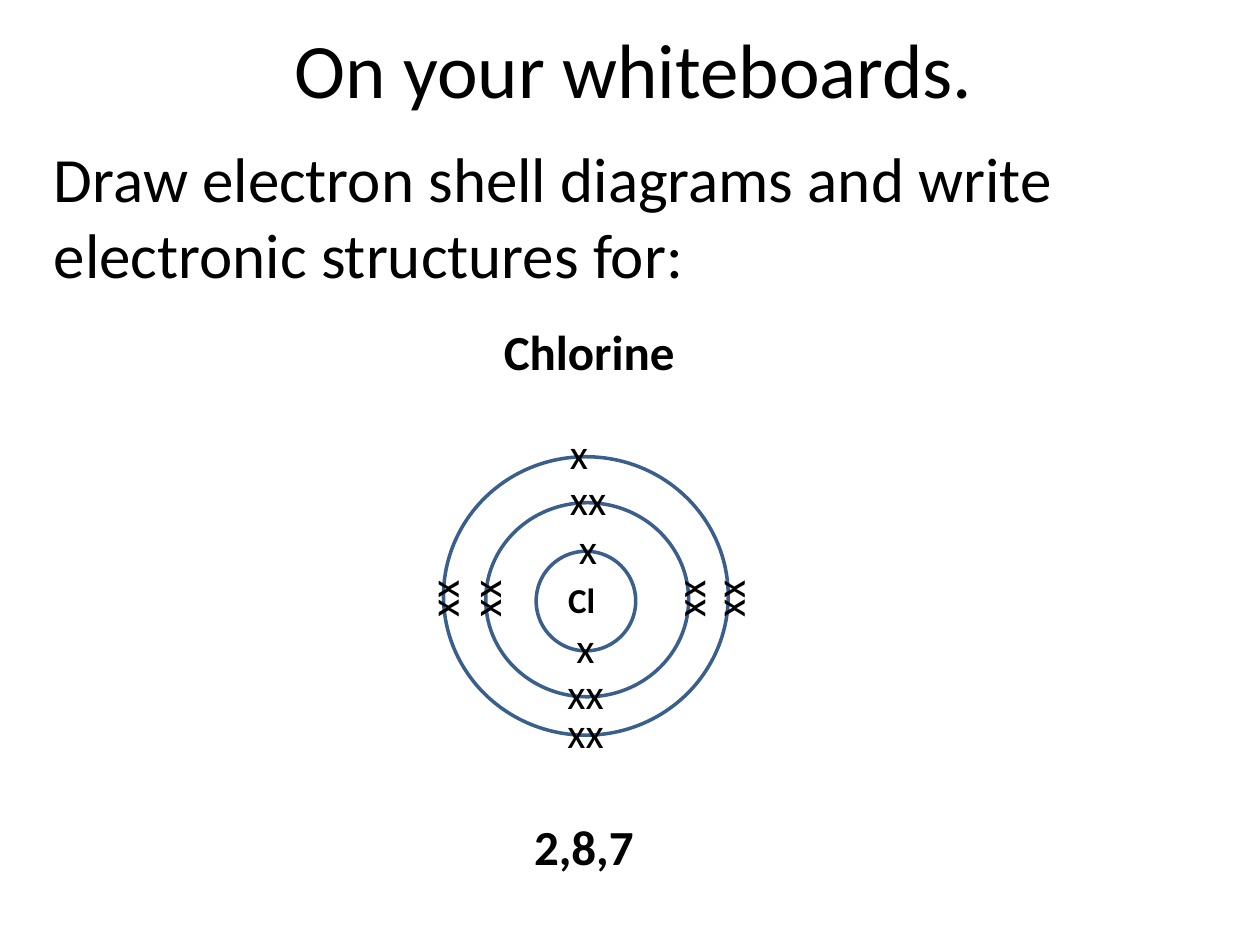
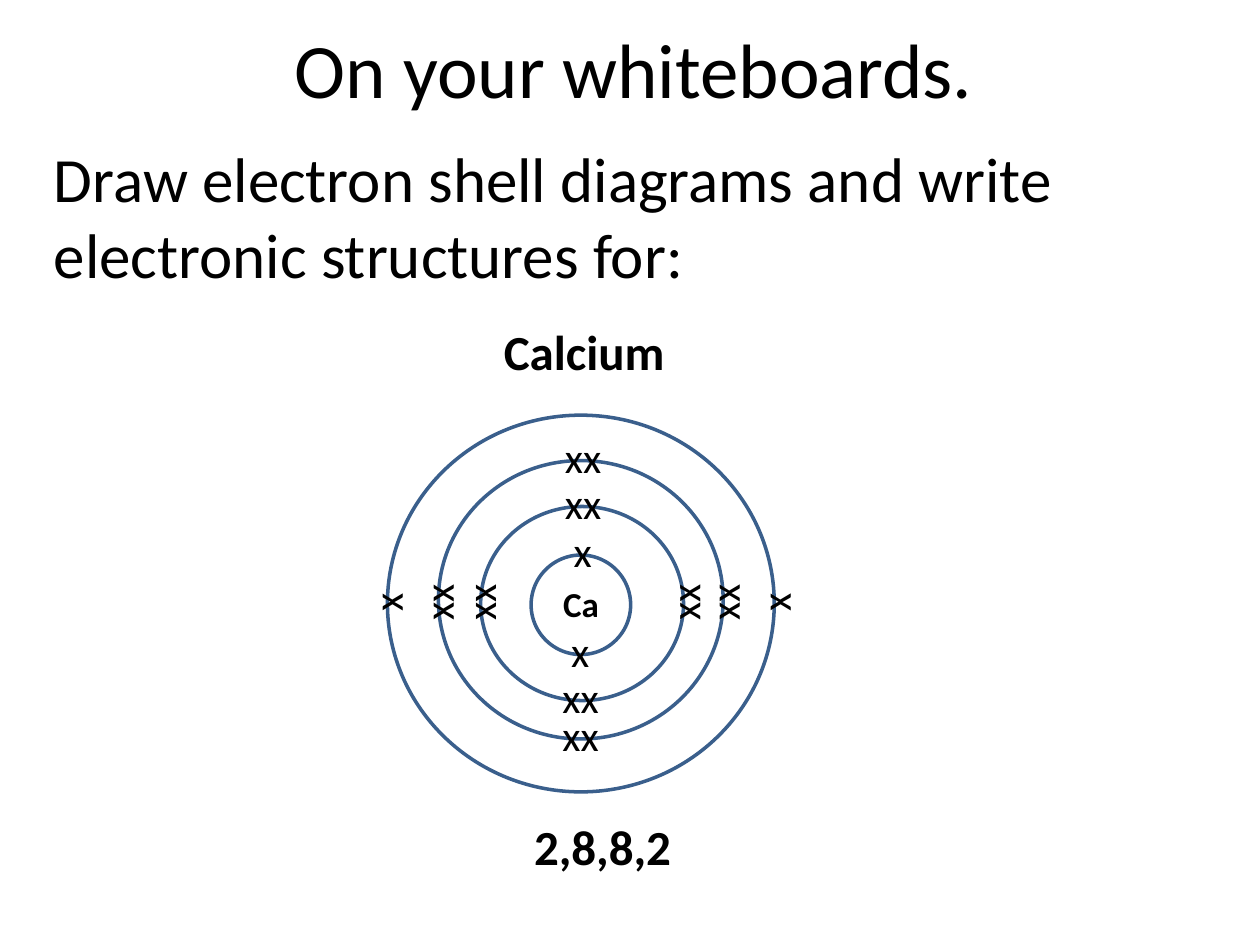
from pptx import Presentation
from pptx.dml.color import RGBColor as Rgb
from pptx.enum.shapes import MSO_SHAPE as Shape
from pptx.enum.text import MSO_ANCHOR as Anchor, PP_ALIGN as Align
from pptx.util import Inches, Pt

COLORS = {"text": "000000", "ring": "3A5F8C"}
FONT = "Calibri"
TITLE = "On your whiteboards."
TASK = "Draw electron shell diagrams and write electronic structures for:"

# Shells from the inside out: offset of the centre, then width and height
SHELLS = [
    (0, 0, 0.79, 0.79),
    (0.01, -0.01, 1.61, 1.54),
    (0, -0.04, 2.26, 2.21),
    (0, -0.01, 3.07, 2.99),
]
WIDTHS = {"x": 0.35, "xx": 0.49}  # box width for one mark or a pair

# Marks on each shell: top, bottom, left, right
INNER = ("x", "x", "", "")
FULL = ("xx",) * 4
ATOMS = [
    {"name": "Chlorine", "wide": 1.57, "sign": "Cl", "sign_wide": 0.42,
     "code": "2,8,7", "code_wide": 1, "mid": (4.65, 4.77),
     "marks": [INNER, FULL, ("x", "xx", "xx", "xx")]},
    {"name": "Calcium", "wide": 1.49, "sign": "Ca", "sign_wide": 0.49,
     "code": "2,8,8,2", "code_wide": 1.31, "mid": (4.61, 4.8),
     "marks": [INNER, FULL, FULL, ("", "", "x", "x")]},
]


def add_text(slide, text, x, y, w, h, size=24, bold=False, wrap=False,
             align=Align.LEFT, anchor=Anchor.TOP, turn=0):
    box = slide.shapes.add_textbox(Inches(x), Inches(y), Inches(w), Inches(h))
    box.rotation = turn
    frame = box.text_frame
    frame.word_wrap = wrap
    frame.vertical_anchor = anchor
    para = frame.paragraphs[0]
    para.alignment = align
    run = para.add_run()
    run.text = text
    font = run.font
    font.name, font.size, font.bold = FONT, Pt(size), bold
    font.color.rgb = Rgb.from_string(COLORS["text"])


def add_ring(slide, x, y, w, h):
    """Draw an unfilled ellipse centred on x, y."""
    ring = slide.shapes.add_shape(Shape.OVAL, Inches(x - w / 2),
                                  Inches(y - h / 2), Inches(w), Inches(h))
    ring.shadow.inherit = False
    ring.fill.background()
    ring.line.color.rgb = Rgb.from_string(COLORS["ring"])
    ring.line.width = Pt(2)


def add_marks(slide, mid, shell, marks):
    """Put the marks on the four sides of one shell."""
    cx, cy = mid
    dx, dy, w, h = shell
    # A lone mark keeps the left place of a pair if its partner is missing
    odd = len("".join(marks)) % 2
    shift = (WIDTHS["xx"] - WIDTHS["x"]) / 2 if odd else 0
    top, low = cy + dy - h / 2 - 0.03, cy + dy + h / 2 - 0.03
    side = cy - 0.02
    spots = [
        (cx + 0.02 - shift, top, 0),
        (cx, low, 0),
        (cx + dx - w / 2 - 0.01, side, 270),
        (cx + dx + w / 2, side, 270),
    ]
    for text, (x, y, turn) in zip(marks, spots):
        if text:
            wide = WIDTHS[text]
            add_text(slide, text, x - wide / 2, y - 0.25, wide, 0.5, turn=turn)


def add_atom(slide, atom):
    cx, cy = mid = atom["mid"]
    pairs = list(zip(SHELLS, atom["marks"]))
    for (dx, dy, w, h), _ in pairs:
        add_ring(slide, cx + dx, cy + dy, w, h)
    for shell, marks in pairs:
        add_marks(slide, mid, shell, marks)
    add_text(slide, atom["sign"], cx - 0.24, cy - 0.23, atom["sign_wide"],
             0.44, size=20, bold=True)


def add_page(deck, atom):
    slide = deck.slides.add_slide(deck.slide_layouts[6])
    # Title and task
    add_text(slide, TITLE, 0.54, -0.27, 8.98, 1.61, size=44, wrap=True,
             align=Align.CENTER, anchor=Anchor.MIDDLE)
    add_text(slide, TASK, 0.33, 1.06, 8.37, 1.31, size=36, wrap=True)
    # Name, diagram and structure
    add_text(slide, atom["name"], 3.9, 2.5, atom["wide"], 0.57,
             size=28, bold=True)
    add_atom(slide, atom)
    add_text(slide, atom["code"], 4.14, 6.43, atom["code_wide"], 0.57,
             size=28, bold=True)


def main():
    deck = Presentation()
    deck.slide_width, deck.slide_height = Inches(10), Inches(7.5)
    for atom in ATOMS:
        add_page(deck, atom)
    deck.save("out.pptx")


if __name__ == "__main__":
    main()
